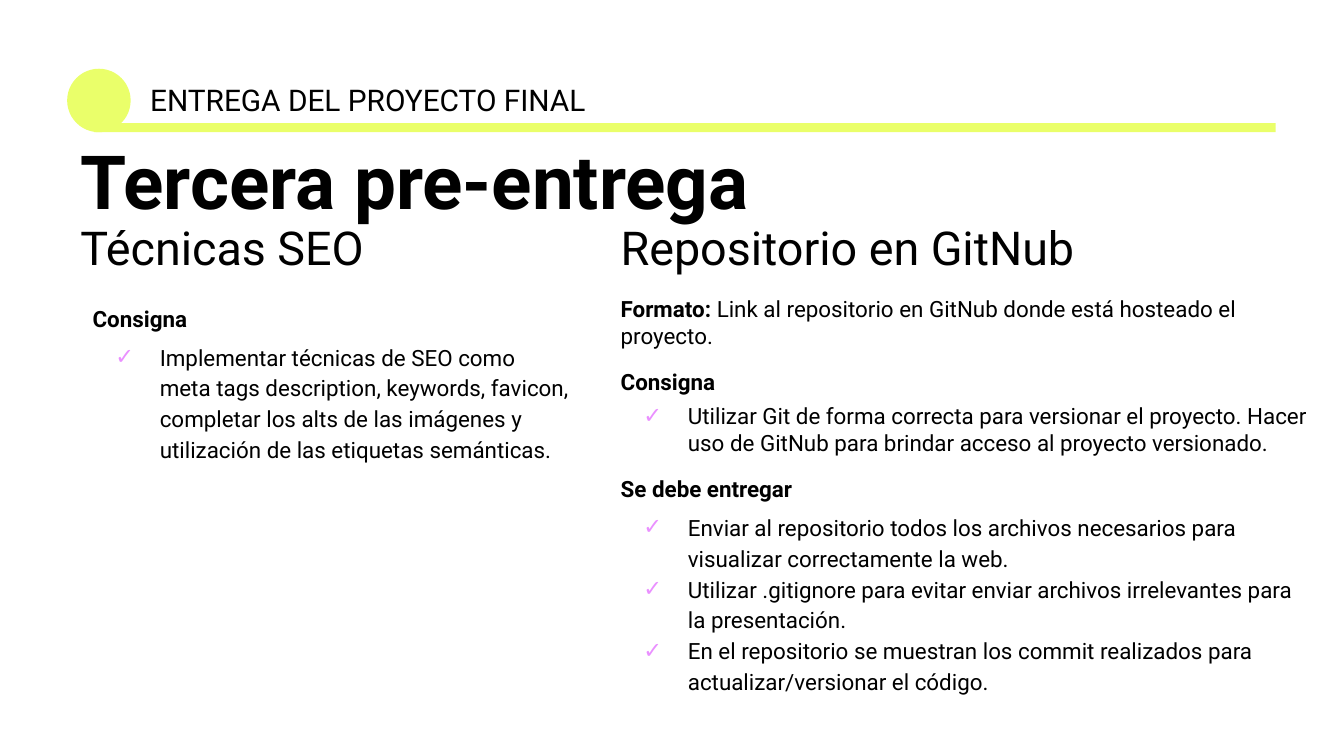
from pptx import Presentation
from pptx.dml.color import RGBColor
from pptx.enum import shapes, text
from pptx.oxml import parse_xml
from pptx.oxml.ns import nsdecls
from pptx.util import Cm, Pt

FONT, BLACK, LIME, PINK = "Roboto", "000000", "EA FF 6A".replace(" ", ""), "EA90FF"
INDENT, HANGING = Cm(1.27), Cm(0.84)
GAP, TIGHT = 10, 4.3  # space before headings and before a list, in points

# Content: paragraphs hold runs of (text, size, bold)
SECTION = "ENTREGA DEL PROYECTO FINAL"
TITLE = [("Tercera pre-entrega", 40, True), ("Técnicas SEO", 25, False)]
REPO_HEADING = "Repositorio en GitNub"

# Lists: (kind, runs, space before, line spacing)
SEO = [
    ("plain", [("Consigna", 12, True)], 0, 1),
    ("check", [("Implementar técnicas de SEO como meta tags description, keywords, "
                "favicon, completar los alts de las imágenes y utilización de las "
                "etiquetas semánticas.", 12, False)], TIGHT, 1.15),
]
REPO = [
    ("plain", [("Formato: ", 12, True),
               ("Link al repositorio en GitNub donde está hosteado el proyecto.",
                12, False)], 0, 1),
    ("plain", [("Consigna", 12, True)], GAP, 1),
    ("check", [("Utilizar Git de forma correcta para versionar el proyecto. Hacer uso "
                "de GitNub para brindar acceso al proyecto versionado.",
                12, False)], TIGHT, 1),
    ("plain", [("Se debe entregar", 12, True)], GAP, 1),
    ("check", [("Enviar al repositorio todos los archivos necesarios para visualizar "
                "correctamente la web.", 12, False)], TIGHT, 1.15),
    ("check", [("Utilizar .gitignore para evitar enviar archivos irrelevantes para "
                "la presentación.", 12, False)], 0, 1.15),
    ("check", [("En el repositorio se muestran los commit realizados para "
                "actualizar/versionar el código.", 12, False)], 0, 1.15),
]


def color(value):
    return RGBColor.from_string(value)


def set_bullet(p, kind):
    pPr = p._p.get_or_add_pPr()
    checked = kind == "check"
    pPr.set("marL", str(INDENT if checked else 0))
    pPr.set("indent", str(-HANGING if checked else 0))
    if checked:
        tags = [f'<a:buClr {nsdecls("a")}><a:srgbClr val="{PINK}"/></a:buClr>',
                f'<a:buFont {nsdecls("a")} typeface="{FONT}"/>',
                f'<a:buChar {nsdecls("a")} char="✓"/>']
    else:
        tags = [f'<a:buNone {nsdecls("a")}/>']
    for tag in tags:
        pPr.append(parse_xml(tag))


def write(sp, box, paragraphs):
    """Place a text shape and fill it with paragraphs."""
    sp.left, sp.top, sp.width, sp.height = (Cm(v) for v in box)
    tf = sp.text_frame
    tf.word_wrap = True
    tf.auto_size = text.MSO_AUTO_SIZE.NONE
    tf.vertical_anchor = text.MSO_ANCHOR.TOP
    tf.margin_left = tf.margin_right = tf.margin_top = tf.margin_bottom = Cm(0.25)
    for i, (kind, runs, before, spacing) in enumerate(paragraphs):
        p = tf.add_paragraph() if i else tf.paragraphs[0]
        set_bullet(p, kind)
        p.alignment = text.PP_ALIGN.LEFT
        p.space_before, p.line_spacing = Pt(before), spacing
        for words, size, bold in runs:
            r = p.add_run()
            r.text = words
            r.font.name, r.font.size, r.font.bold = FONT, Pt(size), bold
            r.font.color.rgb = color(BLACK)


def add_accent(s, kind, box):
    sp = s.shapes.add_shape(kind, *(Cm(v) for v in box))
    sp.shadow.inherit = False
    sp.fill.solid()
    sp.fill.fore_color.rgb = color(LIME)
    sp.line.fill.background()


def add_label(s, box, words, size):
    sp = s.shapes.add_textbox(0, 0, 0, 0)
    write(sp, box, [("plain", [(words, size, False)], 0, 1)])


prs = Presentation()
prs.slide_width, prs.slide_height = Cm(25.4), Cm(14.29)
s = prs.slides.add_slide(prs.slide_layouts[3])  # title and two lists
title, seo, repo = list(s.placeholders)[:3]

# Section header with its lime accent
add_accent(s, shapes.MSO_SHAPE.OVAL, (1.27, 1.3, 1.2, 1.2))
add_accent(s, shapes.MSO_SHAPE.RECTANGLE, (1.78, 2.33, 22.33, 0.17))
add_label(s, (2.59, 1.3, 8.89, 1.2), SECTION, 16)

# Title and column heading
write(title, (1.27, 2.49, 20.29, 3.02), [("plain", [run], 0, 0.9) for run in TITLE])
add_label(s, (11.48, 3.89, 11.81, 1.57), REPO_HEADING, 25)

# Lists
write(seo, (1.5, 5.51, 9.53, 4.06), SEO)
write(repo, (11.48, 5.33, 13.54, 8.59), REPO)

prs.save("out.pptx")
